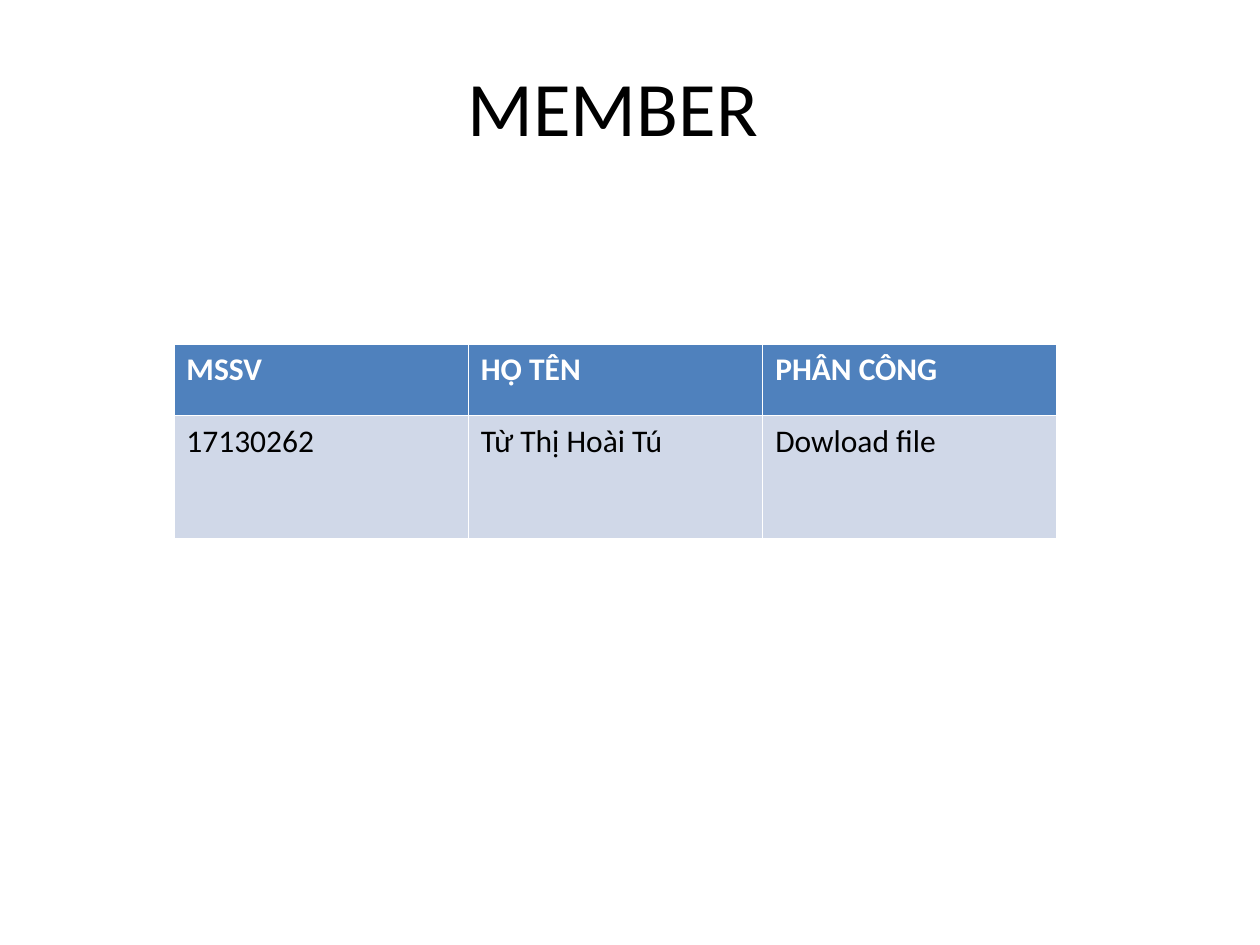
from pptx import Presentation
from pptx.dml.color import RGBColor
from pptx.enum import text
from pptx.util import Inches, Pt

ROWS = [
    ("MSSV", "HỌ TÊN", "PHÂN CÔNG"),
    ("17130262", "Từ Thị Hoài Tú", "Dowload file"),
]
ROW_STYLES = [(0.57, "4F81BD", "FFFFFF", True), (0.98, "D0D8E8", "000000", False)]


def color(value):
    return RGBColor.from_string(value)


def style_text(tf, size, font_color, bold=False):
    for p in tf.paragraphs:
        for r in p.runs:
            r.font.name = "Calibri"
            r.font.size = Pt(size)
            r.font.bold = bold
            r.font.color.rgb = color(font_color)


def add_title(s, title):
    sp = s.shapes.add_textbox(Inches(0.75), Inches(0.29), Inches(8.5), Inches(1.1))
    tf = sp.text_frame
    tf.word_wrap = True
    tf.vertical_anchor = text.MSO_ANCHOR.MIDDLE
    tf.margin_right = Inches(0.37)
    tf.text = title
    tf.paragraphs[0].alignment = text.PP_ALIGN.CENTER
    style_text(tf, 44, "000000")


def add_member_table(s):
    table = s.shapes.add_table(
        len(ROWS), len(ROWS[0]), Inches(1.38), Inches(2.73), Inches(7.01), Inches(1.55)
    ).table
    for row, values, (height, fill, font_color, bold) in zip(table.rows, ROWS, ROW_STYLES):
        row.height = Inches(height)
        for cell, value in zip(row.cells, values):
            cell.text_frame.text = value
            cell.fill.solid()
            cell.fill.fore_color.rgb = color(fill)
            style_text(cell.text_frame, 18, font_color, bold)


def main():
    prs = Presentation()
    prs.slide_width, prs.slide_height = Inches(10), Inches(7.5)
    s = prs.slides.add_slide(prs.slide_layouts[6])
    add_title(s, "MEMBER")
    add_member_table(s)
    prs.save("out.pptx")


if __name__ == "__main__":
    main()
